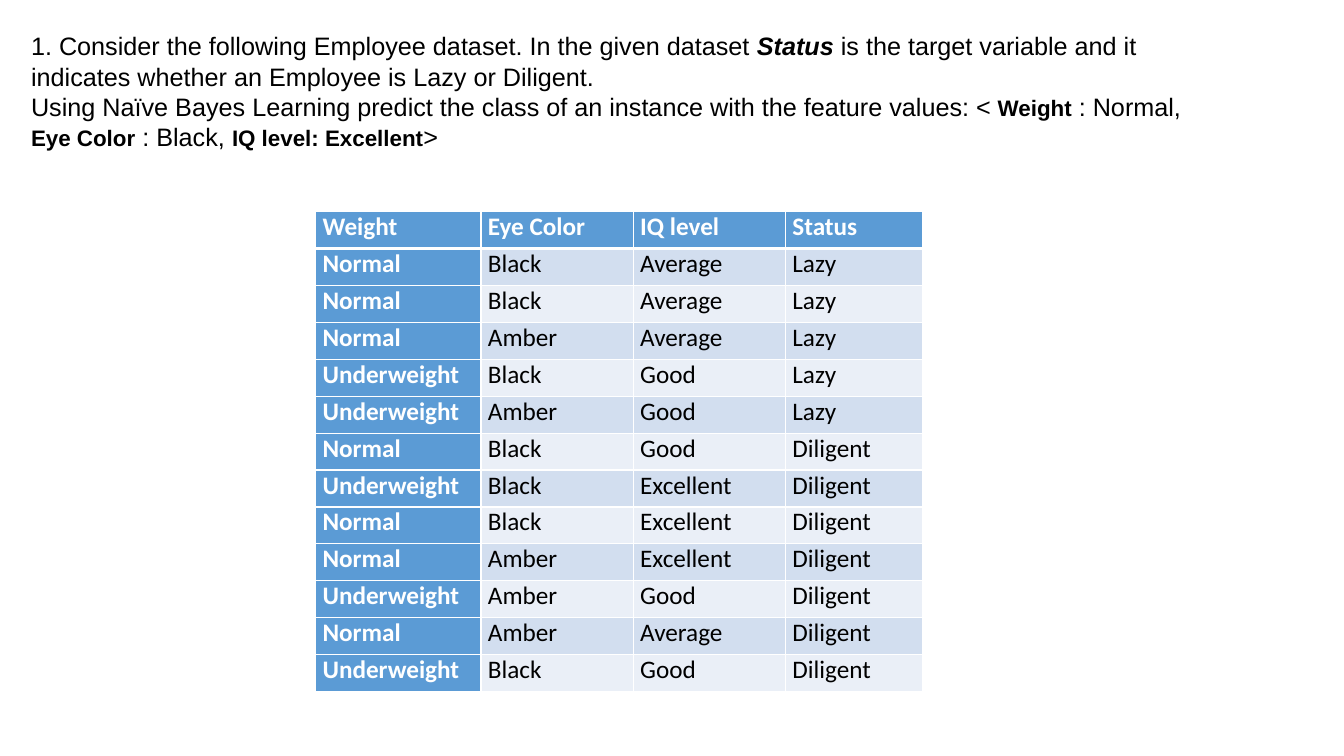
from lxml import etree
from pptx import Presentation
from pptx.dml.color import RGBColor
from pptx.enum.text import MSO_ANCHOR, MSO_AUTO_SIZE, PP_ALIGN
from pptx.oxml.ns import qn
from pptx.util import Inches, Pt

MIDDLE = MSO_ANCHOR.MIDDLE
GROW = MSO_AUTO_SIZE.SHAPE_TO_FIT_TEXT
JUSTIFY = PP_ALIGN.JUSTIFY

BLACK, WHITE = "000000", "FFFFFF"
HEADING_BLUE = "5B9BD5"
BAND_FILLS = ["EAEFF7", "D2DEEF"]

COLUMN_WIDTHS = [1.64, 1.51, 1.51, 1.36]
EMPLOYEES = [
    ("Weight", "Eye Color", "IQ level", "Status"),
    ("Normal", "Black", "Average", "Lazy"),
    ("Normal", "Black", "Average", "Lazy"),
    ("Normal", "Amber", "Average", "Lazy"),
    ("Underweight", "Black", "Good", "Lazy"),
    ("Underweight", "Amber", "Good", "Lazy"),
    ("Normal", "Black", "Good", "Diligent"),
    ("Underweight", "Black", "Excellent", "Diligent"),
    ("Normal", "Black", "Excellent", "Diligent"),
    ("Normal", "Amber", "Excellent", "Diligent"),
    ("Underweight", "Amber", "Good", "Diligent"),
    ("Normal", "Amber", "Average", "Diligent"),
    ("Underweight", "Black", "Good", "Diligent"),
]

FEATURE = {"size": 16, "bold": True}
QUESTION = [
    [
        ("1. Consider the following Employee dataset. In the given dataset ", {}),
        ("Status", {"bold": True, "italic": True}),
        (" is the target variable and it indicates whether an Employee is Lazy or Diligent.", {}),
    ],
    [
        ("Using Naïve Bayes Learning predict the class of an instance with the feature values: <", {}),
        (" Weight", FEATURE),
        (" : Normal, ", {}),
        ("Eye Color", FEATURE),
        (" : Black, ", {}),
        ("IQ level: Excellent", FEATURE),
        (">", {}),
    ],
]


def color(hex_string):
    return RGBColor.from_string(hex_string)


def add_run(paragraph, text, font="Arial", size=18, fill=BLACK, bold=False, italic=False):
    run = paragraph.add_run()
    run.text = text
    run.font.name = font
    run.font.size = Pt(size)
    run.font.color.rgb = color(fill)
    run.font.bold = bold
    run.font.italic = italic


def add_question(slide, left, top, width, height):
    box = slide.shapes.add_textbox(Inches(left), Inches(top), Inches(width), Inches(height))
    frame = box.text_frame
    frame.word_wrap = True
    frame.auto_size = GROW
    frame.vertical_anchor = MIDDLE
    for index, runs in enumerate(QUESTION):
        paragraph = frame.add_paragraph() if index else frame.paragraphs[0]
        for text, style in runs:
            add_run(paragraph, text, **style)


def set_borders(cell, **widths):
    """Draw white cell borders; must come before the fill in the cell's XML."""
    properties = cell._tc.get_or_add_tcPr()
    for side, width in widths.items():
        line = etree.SubElement(properties, qn(f"a:ln{side}"), w=str(Pt(width)))
        fill = etree.SubElement(line, qn("a:solidFill"))
        etree.SubElement(fill, qn("a:srgbClr"), val=WHITE)


def format_cell(cell, text, row, column):
    heading = row == 0 or column == 0
    cell.margin_left = cell.margin_right = Inches(0.07)
    cell.margin_top = cell.margin_bottom = 0
    set_borders(cell, L=1, R=1, T=3 if row == 1 else 1, B=3 if row == 0 else 1)
    cell.fill.solid()
    cell.fill.fore_color.rgb = color(HEADING_BLUE if heading else BAND_FILLS[row % 2])
    paragraph = cell.text_frame.paragraphs[0]
    paragraph.alignment = JUSTIFY
    add_run(paragraph, text, font="Calibri", fill=WHITE if heading else BLACK, bold=heading)


def add_employee_table(slide, left, top, height):
    frame = slide.shapes.add_table(
        len(EMPLOYEES), len(COLUMN_WIDTHS),
        Inches(left), Inches(top), Inches(sum(COLUMN_WIDTHS)), Inches(height),
    )
    table = frame.table
    table.first_col = True
    for column, width in zip(table.columns, COLUMN_WIDTHS):
        column.width = Inches(width)
    for row, values in enumerate(EMPLOYEES):
        for column, text in enumerate(values):
            format_cell(table.cell(row, column), text, row, column)


def main():
    presentation = Presentation()
    presentation.slide_width = Inches(13.33)
    presentation.slide_height = Inches(7.5)
    slide = presentation.slides.add_slide(presentation.slide_layouts[6])
    add_employee_table(slide, 3.13, 2.1, 4.76)
    add_question(slide, 0.21, 0.25, 11.86, 1.31)
    presentation.save("out.pptx")


if __name__ == "__main__":
    main()
